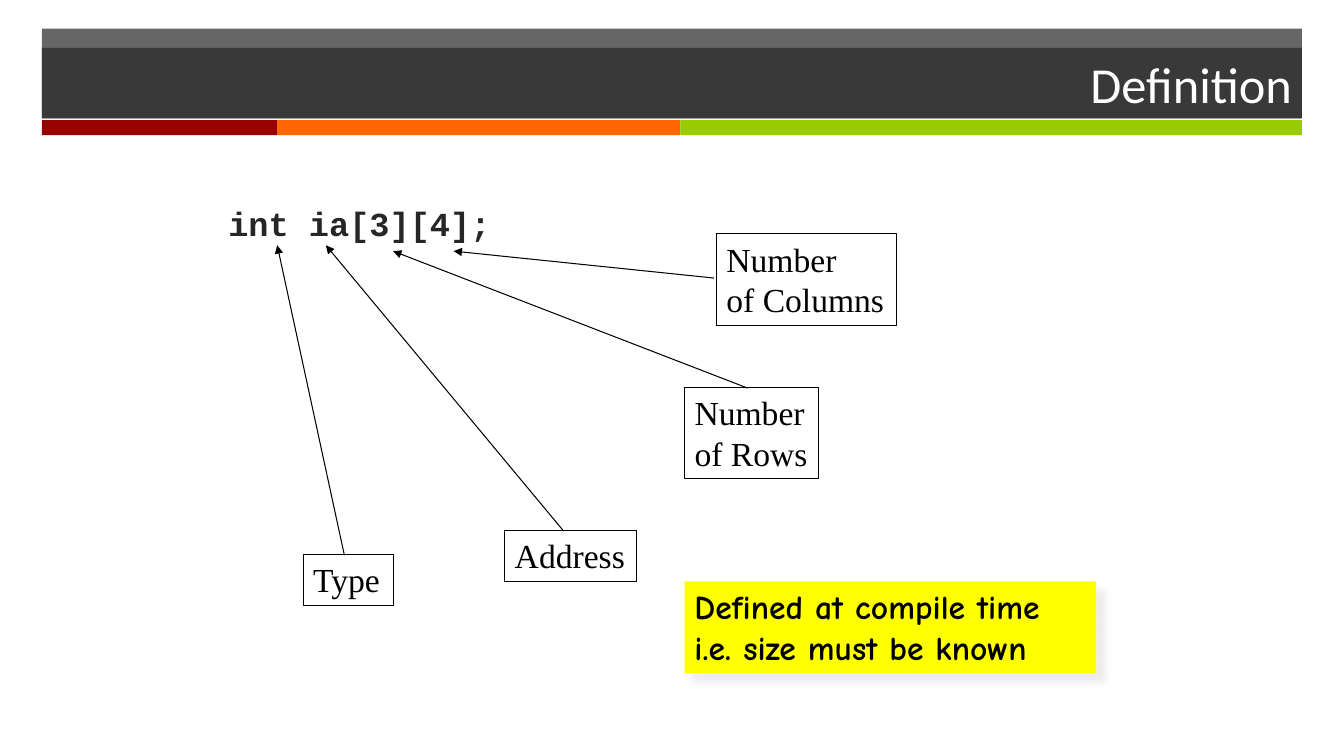
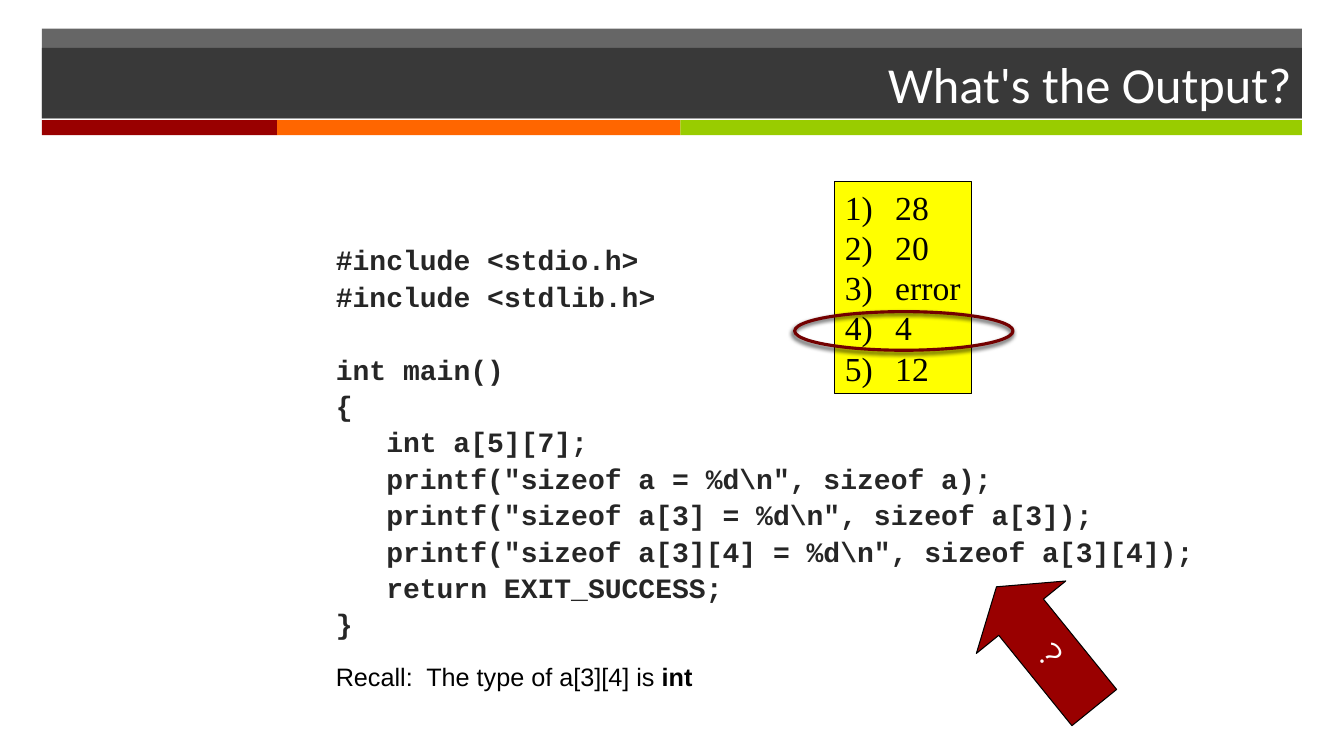
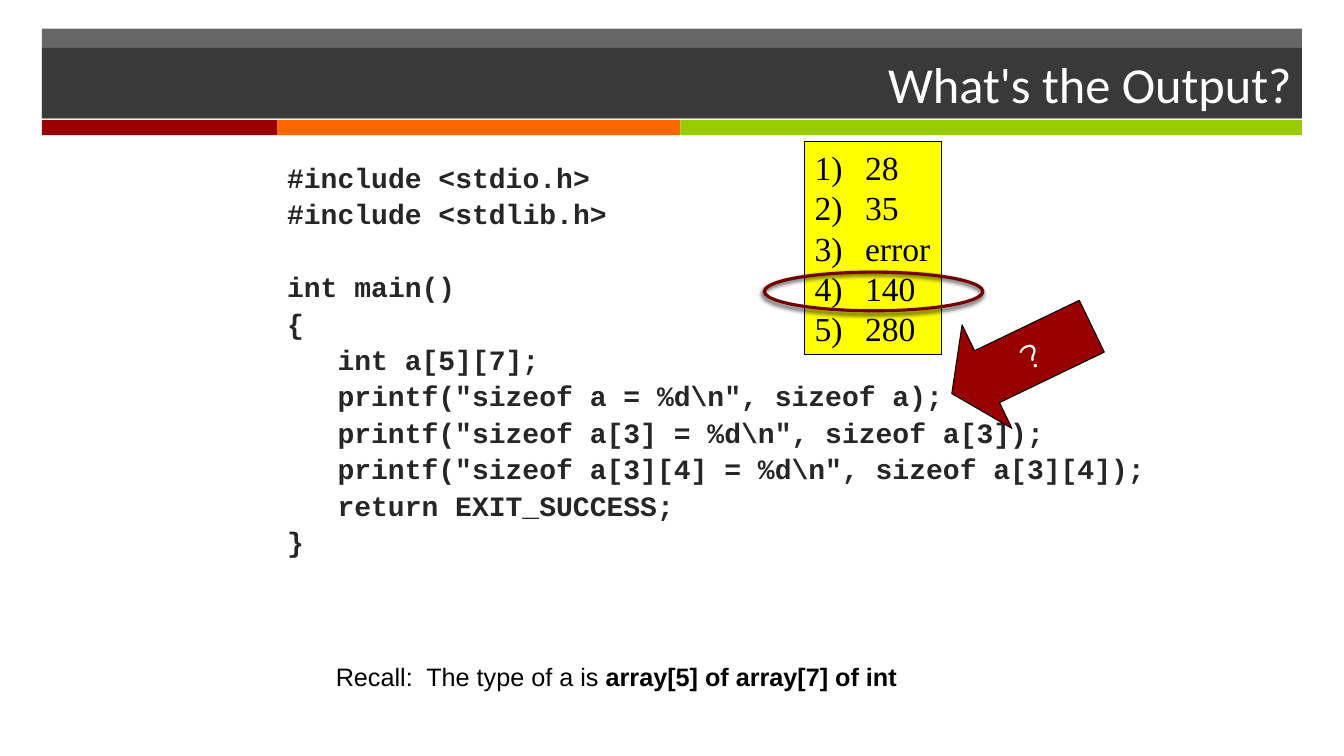
from lxml.etree import SubElement
from pptx import Presentation
from pptx.dml.color import RGBColor
from pptx.enum.shapes import MSO_CONNECTOR, MSO_SHAPE
from pptx.enum.text import MSO_ANCHOR, PP_ALIGN
from pptx.oxml.ns import qn
from pptx.util import Inches, Pt

BLACK = RGBColor(0x00, 0x00, 0x00)
WHITE = RGBColor(0xFF, 0xFF, 0xFF)
INK = RGBColor(0x26, 0x26, 0x26)
RED = RGBColor(0x99, 0x00, 0x00)
DARK_RED = RGBColor(0x73, 0x00, 0x00)
ORANGE = RGBColor(0xFF, 0x66, 0x00)
GREEN = RGBColor(0x99, 0xCC, 0x00)
YELLOW = RGBColor(0xFF, 0xFF, 0x00)

COLS, ROWS = 160, 90
MARGIN = 5
STRIPES = [(28, RED), (48, ORANGE), (74, GREEN)]
CODE = [
    (0, "#include <stdio.h>"),
    (0, "#include <stdlib.h>"),
    (0, "int main()"),
    (0, "{"),
    (1, "int a[5][7];"),
    (1, r'printf("sizeof a = %d\n", sizeof a);'),
    (1, r'printf("sizeof a[3] = %d\n", sizeof a[3]);'),
    (1, r'printf("sizeof a[3][4] = %d\n", sizeof a[3][4]);'),
    (1, "return EXIT_SUCCESS;"),
    (0, "}"),
]


def cells(*values):
    """Turn grid cells, twelve to the inch, into lengths."""
    return [Inches(v / 12) for v in values]


def add_box(s, box, kind=MSO_SHAPE.RECTANGLE, fill=None, line=None, weight=0.75, alpha=None):
    """Add a preset shape with plain fill, line and no shadow."""
    sp = s.shapes.add_shape(kind, *cells(*box))
    sp.shadow.inherit = False
    if fill is None:
        sp.fill.background()
    else:
        sp.fill.solid()
        sp.fill.fore_color.rgb = fill
    if alpha:
        color = sp._element.spPr.find(qn("a:solidFill"))[0]
        SubElement(color, qn("a:alpha"), val=str(alpha * 1000))
    if line is None:
        sp.line.fill.background()
    else:
        sp.line.color.rgb = line
        sp.line.width = Pt(weight)
    return sp


def add_shadow(sp, color, blur, dist, angle):
    """Give a shape an outer shadow at 75 percent."""
    effects = sp._element.spPr.find(qn("a:effectLst"))
    outer = SubElement(effects, qn("a:outerShdw"), blurRad=str(Pt(blur)),
                       dist=str(Pt(dist)), dir=str(angle * 60000), rotWithShape="0")
    SubElement(SubElement(outer, qn("a:srgbClr"), val=color), qn("a:alpha"), val="75000")


def add_run(p, text, font, size, color, bold=None):
    """Append one formatted run to a paragraph."""
    r = p.add_run()
    r.text = text
    r.font.name, r.font.size, r.font.bold = font, Pt(size), bold
    r.font.color.rgb = color


def write(sp, lines, font, size, color, bold=None, align=PP_ALIGN.LEFT,
          anchor=MSO_ANCHOR.TOP, pitch=None):
    """Write one paragraph a line and return the paragraphs."""
    tf = sp.text_frame
    tf.word_wrap = True
    tf.vertical_anchor = anchor
    for i, line in enumerate(lines):
        p = tf.add_paragraph() if i else tf.paragraphs[0]
        p.alignment = align
        if pitch:
            p.line_spacing = Pt(pitch)
        add_run(p, line, font, size, color, bold)
    return tf.paragraphs


def add_base(prs, title):
    """Add a slide with its title bar and coloured stripes."""
    s = prs.slides.add_slide(prs.slide_layouts[6])
    width = COLS - 2 * MARGIN
    add_box(s, (MARGIN, 3.4, width, 10.7), fill=INK, alpha=70)
    x = MARGIN
    for w, color in STRIPES:
        add_box(s, (x, 14.3, w, 1.8), fill=color)
        x += w
    bar = add_box(s, (MARGIN, 5.7, width, 8.4), fill=INK, alpha=70)
    write(bar, [title], "Calibri", 36, WHITE, align=PP_ALIGN.RIGHT, anchor=MSO_ANCHOR.MIDDLE)
    return s


def add_label(s, box, lines, fill=WHITE, line=BLACK, font="Times New Roman", bold=None):
    """Add a filled box of 24 point text."""
    sp = add_box(s, box, fill=fill, line=line)
    sp.text_frame.margin_right = 0
    write(sp, lines, font, 24, BLACK, bold, pitch=28.8)
    return sp


def add_pointer(s, start, end):
    """Draw a thin arrow from a label to the code."""
    cn = s.shapes.add_connector(MSO_CONNECTOR.STRAIGHT, *cells(*start, *end))
    cn.line.color.rgb = BLACK
    cn.line.width = Pt(0.75)
    SubElement(cn.line._get_or_add_ln(), qn("a:tailEnd"), type="triangle")
    SubElement(cn._element.spPr, qn("a:effectLst"))


def add_code(s, x, y):
    """Place the program listing with its top left corner at x, y."""
    sp = s.shapes.add_textbox(*cells(x, y, 110, 48))
    paragraphs = write(sp, [text for _, text in CODE], "Courier New", 20, INK, True, pitch=26)
    for p, (level, _) in zip(paragraphs, CODE):
        p._p.get_or_add_pPr().set("marL", str(Inches(level / 2)))
    paragraphs[2].space_before = Pt(26)


def add_options(s, x, y, answers):
    """Place the numbered answers and ring the fourth."""
    sp = add_label(s, (x, y, 16.3, 25.3), answers, YELLOW)
    for p in sp.text_frame.paragraphs:
        pPr = p._p.get_or_add_pPr()
        pPr.set("marL", str(Inches(0.5)))
        pPr.set("indent", str(-Inches(0.5)))
        SubElement(pPr, qn("a:buFont"), typeface="+mj-lt")
        SubElement(pPr, qn("a:buAutoNum"), type="arabicParenR")
    ring = add_box(s, (x - 4.8, y + 15.5, 26, 4.6), MSO_SHAPE.OVAL, line=DARK_RED, weight=2.25)
    add_shadow(ring, "000000", 3, 2, 110)


def add_question(s, x, y, angle):
    """Place the turned question arrow."""
    sp = add_box(s, (x, y, 18.5, 13.7), MSO_SHAPE.LEFT_ARROW, RED, BLACK)
    sp.adjustments[0], sp.adjustments[1] = 0.5, 0.34
    sp.rotation = angle
    write(sp, ["?"], "Montserrat", 24, WHITE, align=PP_ALIGN.CENTER, anchor=MSO_ANCHOR.MIDDLE)


def add_recall(s, lead, answer):
    """Place the reminder line under the code."""
    sp = s.shapes.add_textbox(*cells(38.8, 78.2, 77, 4.8))
    p = write(sp, [lead], "Arial", 18, BLACK)[0]
    add_run(p, answer, "Arial", 18, BLACK, True)


def definition_slide(prs):
    """Build the slide that names the parts of a declaration."""
    s = add_base(prs, "Definition")
    sp = s.shapes.add_textbox(*cells(26, 23.2, 49.6, 8.5))
    write(sp, ["int ia[3][4];"], "Courier New", 24, INK, True, pitch=31)
    parts = [
        ((36.1, 66, 10.8, 6.1), ["Type"], (41, 66.1), (33, 29.2)),
        ((60.1, 63.1, 15.7, 6.1), ["Address"], (67, 63.1), (38.8, 29.2)),
        ((81.5, 46.1, 16, 10.9), ["Number", "of Rows"], (89, 46.2), (46.8, 29.9)),
        ((85.3, 27.8, 21.4, 10.9), ["Number", "of Columns"], (85, 33.1), (54, 29.9)),
    ]
    for box, lines, start, end in parts:
        add_label(s, box, lines)
        add_pointer(s, start, end)
    notice = add_label(s, (81.5, 69.2, 49, 10.9),
                       ["Defined at compile time", "i.e. size must be known"],
                       YELLOW, None, "Comic Neue", True)
    add_shadow(notice, "EAE7E4", 5, 8.5, 45)


def quiz_slide(prs, code, arrow, options, answers, recall):
    """Build a slide that asks what the program prints."""
    s = add_base(prs, "What's the Output?")
    add_code(s, *code)
    add_question(s, *arrow)
    add_options(s, *options, answers)
    add_recall(s, *recall)


def main():
    """Build and save the presentation."""
    prs = Presentation()
    prs.slide_width, prs.slide_height = cells(COLS, ROWS)
    definition_slide(prs)
    quiz_slide(prs, (38.8, 28), (115.2, 70.2, 51), (99.4, 21.6),
               ["28", "20", "error", "4", "12"],
               ("Recall:  The type of a[3][4] is ", "int"))
    quiz_slide(prs, (33, 18.2), (112.4, 36, 334.3), (95.8, 16.9),
               ["28", "35", "error", "140", "280"],
               ("Recall:  The type of a is ", "array[5] of array[7] of int"))
    prs.save("out.pptx")


if __name__ == "__main__":
    main()
